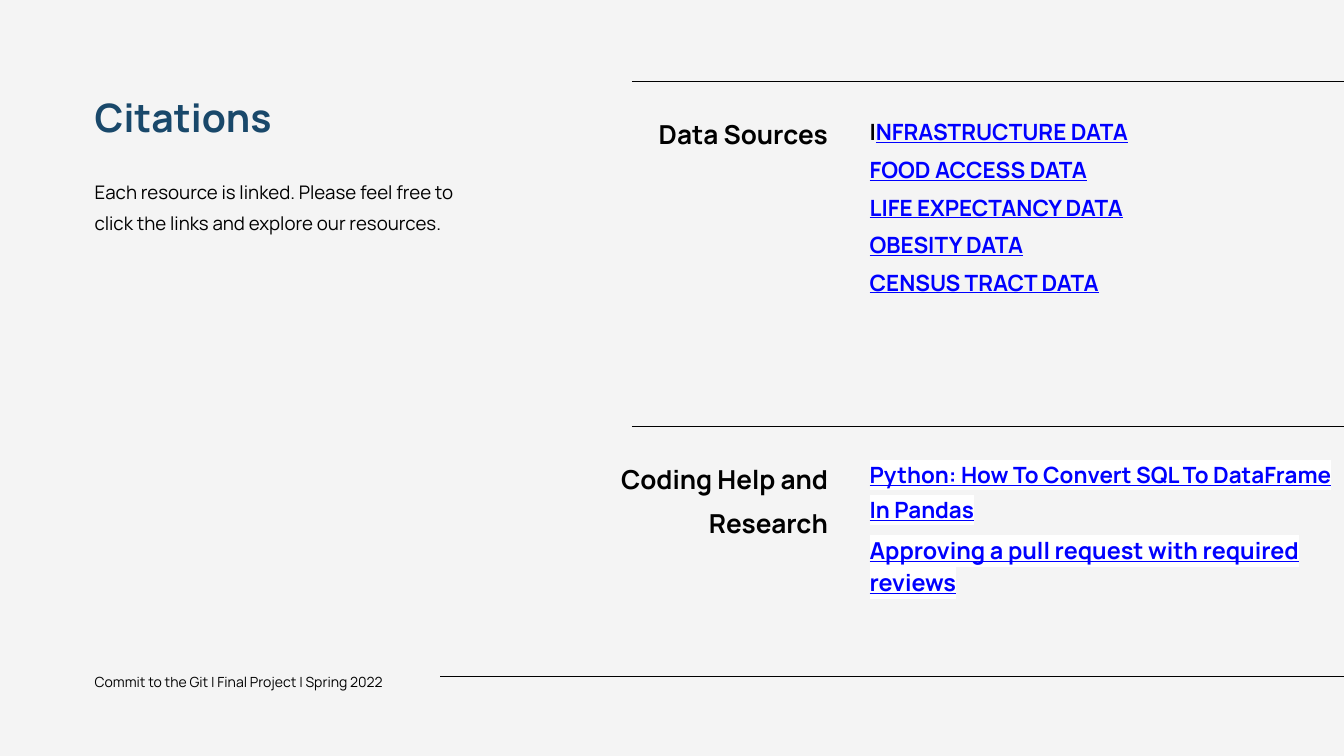
from lxml import etree
from pptx import Presentation
from pptx.dml.color import RGBColor
from pptx.enum import shapes, text
from pptx.oxml.ns import qn
from pptx.util import Cm, Pt

COLORS = {"paper": "F4F4F4", "ink": "000000", "title": "19486A",
          "link": "0000FF", "highlight": "FFFFFF"}
FONT = "Manrope"
WIDTH, HEIGHT = 50.8, 28.58
MARGIN = 3.58
DATA_LINKS = ["INFRASTRUCTURE DATA", "FOOD ACCESS DATA", "LIFE EXPECTANCY DATA",
              "OBESITY DATA", "CENSUS TRACT DATA"]


def rgb(name):
    return RGBColor.from_string(COLORS[name])


def add_box(s, left, top, width, height):
    """Add an empty text frame without insets."""
    tf = s.shapes.add_textbox(Cm(left), Cm(top), Cm(width), Cm(height)).text_frame
    tf.word_wrap = True
    tf.margin_left = tf.margin_right = tf.margin_top = tf.margin_bottom = 0
    return tf


def style(p, size, color="ink", bold=False, spacing=1.4, underline=None):
    p.line_spacing = spacing
    f = p.font
    f.name, f.size, f.bold, f.underline = FONT, Pt(size), bold, underline
    f.color.rgb = rgb(color)


def add_label(s, box, words, size, align=text.PP_ALIGN.LEFT, **look):
    p = add_box(s, *box).paragraphs[0]
    p.text = words
    p.alignment = align
    style(p, size, **look)


def add_rule(s, left, top):
    """Draw a thin line from left to the right edge of the slide."""
    line = s.shapes.add_connector(shapes.MSO_CONNECTOR.STRAIGHT,
                                  Cm(left), Cm(top), Cm(WIDTH), Cm(top))
    line.line.color.rgb = rgb("ink")
    line.line.width = Pt(0.75)
    etree.SubElement(line._element.spPr, qn("a:effectLst"))


def highlight(r):
    mark = etree.SubElement(r._r.get_or_add_rPr(), qn("a:highlight"))
    etree.SubElement(mark, qn("a:srgbClr")).set("val", COLORS["highlight"])


def add_intro(s, left, top):
    add_label(s, (left, top, 17.25, 1.8), "Citations", 41.9,
              color="title", bold=True, spacing=1.25)
    add_label(s, (left, top + 3.4, 13.77, 2.87),
              "Each resource is linked. Please feel free to click the links "
              "and explore our resources.", 20)


def add_section(s, left, top, heading, width, height):
    """Add a rule and a heading; return the frame for the links."""
    add_rule(s, left, top)
    add_label(s, (left - 0.54, top + 0.92, 7.95, 1.35), heading, 28,
              align=text.PP_ALIGN.RIGHT, bold=True)
    return add_box(s, left + 8.99, top + 1.0, width, height)


def add_data_sources(s, left, top):
    tf = add_section(s, left, top, "Data Sources", 13.06, 8.03)
    for i, name in enumerate(DATA_LINKS):
        p = tf.paragraphs[0] if i == 0 else tf.add_paragraph()
        style(p, 24, color="link", bold=True, underline=True)
        if i == 0:
            # The first letter stands outside the link
            r = p.add_run()
            r.text, name = name[0], name[1:]
            r.font.underline = False
            r.font.color.rgb = rgb("ink")
        p.add_run().text = name


def add_coding_help(s, left, top):
    tf = add_section(s, left, top, "Coding Help and Research", 17.93, 11.25)
    links = [("Python: How To Convert SQL To DataFrame In Pandas", 24, 1.3, 0),
             ("Approving a pull request with required reviews", 25, 1.15, 10)]
    for i, (name, size, spacing, before) in enumerate(links):
        p = tf.paragraphs[0] if i == 0 else tf.add_paragraph()
        p.space_before = Pt(before)
        style(p, size, color="link", bold=True, spacing=spacing, underline=True)
        r = p.add_run()
        r.text = name
        highlight(r)


def add_footer(s, left, top):
    add_label(s, (left, top, 14.1, 0.74),
              "Commit to the Git | Final Project | Spring 2022", 15)
    add_rule(s, left + 13.06, top + 0.38)


def main():
    prs = Presentation()
    prs.slide_width, prs.slide_height = Cm(WIDTH), Cm(HEIGHT)
    s = prs.slides.add_slide(prs.slide_layouts[6])
    s.background.fill.solid()
    s.background.fill.fore_color.rgb = rgb("paper")

    add_intro(s, MARGIN, 3.1)
    add_data_sources(s, 23.88, 3.07)
    add_coding_help(s, 23.88, 16.13)
    add_footer(s, MARGIN, 25.2)
    prs.save("out.pptx")


if __name__ == "__main__":
    main()
